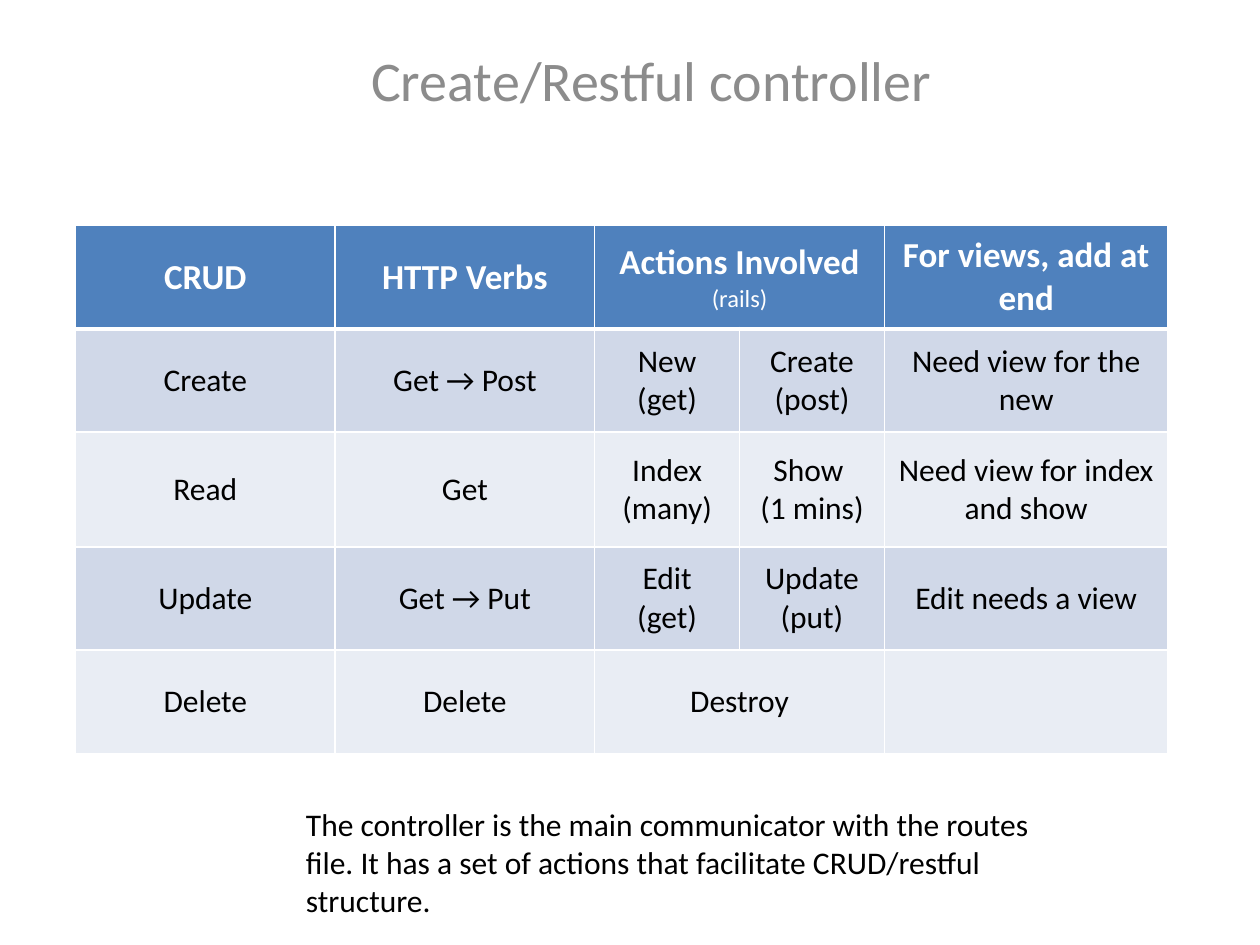
from lxml import etree
from pptx import Presentation
from pptx.dml.color import RGBColor
from pptx.enum.text import MSO_ANCHOR, PP_ALIGN
from pptx.oxml.ns import qn
from pptx.util import Inches, Pt

CENTER, LEFT = PP_ALIGN.CENTER, PP_ALIGN.LEFT
MIDDLE = MSO_ANCHOR.MIDDLE

FONT = "Calibri"
WHITE = RGBColor(0xFF, 0xFF, 0xFF)
BLACK = RGBColor(0, 0, 0)
GRAY = RGBColor(0x8C, 0x8C, 0x8C)
BLUE = RGBColor(0x4F, 0x81, 0xBD)
BANDS = (RGBColor(0xE9, 0xED, 0xF4), RGBColor(0xD0, 0xD8, 0xE8))

# Content
TITLE = "Create/Restful controller"
NOTE = ("The controller is the main communicator with the routes file. "
        "It has a set of actions that facilitate CRUD/restful structure.")
ROWS = [
    ("CRUD", "HTTP Verbs", "Actions Involved\n(rails)", None, "For views, add at end"),
    ("Create", "Get → Post", "New\n(get)", "Create\n(post)", "Need view for the new"),
    ("Read", "Get", "Index\n(many)", "Show \n(1 mins)", "Need view for index and show"),
    ("Update", "Get → Put", "Edit\n(get)", "Update\n(put)", "Edit needs a view"),
    ("Delete", "Delete", "Destroy", None, ""),
]
COL_WIDTHS = (2.06, 2.06, 1.15, 1.15, 2.25)
ROW_HEIGHTS = (0.82, 0.82, 0.91, 0.82, 0.82)


def set_text(tf, text, size, color, align, bold=False):
    tf.text = text
    for p in tf.paragraphs:
        p.alignment = align
        p.font.size = Pt(size)
        for r in p.runs:
            r.font.name = FONT
            r.font.size = Pt(size)
            r.font.bold = bold
            r.font.color.rgb = color


def add_text(s, box, text, size, color, align):
    tf = s.shapes.add_textbox(*map(Inches, box)).text_frame
    tf.word_wrap = True
    set_text(tf, text, size, color, align)


def set_borders(cell, widths):
    tcPr = cell._tc.get_or_add_tcPr()
    for i, (side, width) in enumerate(widths.items()):
        ln = etree.Element(qn("a:" + side), w=str(Pt(width)))
        fill = etree.SubElement(ln, qn("a:solidFill"))
        etree.SubElement(fill, qn("a:srgbClr"), val=str(WHITE))
        tcPr.insert(i, ln)


prs = Presentation()
prs.slide_width, prs.slide_height = Inches(10), Inches(7.5)
s = prs.slides.add_slide(prs.slide_layouts[6])

# Title
add_text(s, (1.67, 0.31, 7, 1.92), TITLE, 32, GRAY, CENTER)

# Table
table = s.shapes.add_table(len(ROWS), len(COL_WIDTHS), Inches(0.6), Inches(1.79),
                           Inches(sum(COL_WIDTHS)), Inches(sum(ROW_HEIGHTS))).table
for col, width in zip(table.columns, COL_WIDTHS):
    col.width = Inches(width)
for row, height in zip(table.rows, ROW_HEIGHTS):
    row.height = Inches(height)

for i, row in enumerate(ROWS):
    header = i == 0
    for j, text in enumerate(row):
        cell = table.cell(i, j)
        cell.fill.solid()
        cell.fill.fore_color.rgb = BLUE if header else BANDS[i % 2]
        set_borders(cell, {"lnL": 1, "lnR": 1, "lnT": 3 if i == 1 else 1,
                           "lnB": 3 if header else 1})
        if text is None:  # joined to the cell on its left
            table.cell(i, j - 1).merge(cell)
            continue
        cell.vertical_anchor = MIDDLE
        set_text(cell.text_frame, text, 20 if header else 18,
                 WHITE if header else BLACK, CENTER, header)

# Smaller second line in the actions heading
rails = table.cell(0, 2).text_frame.paragraphs[1].runs[0]
rails.font.size = Pt(14)
rails.font.bold = False

# Explanation below the table
add_text(s, (2.33, 6.34, 6.12, 1.01), NOTE, 18, BLACK, LEFT)

prs.save("out.pptx")
